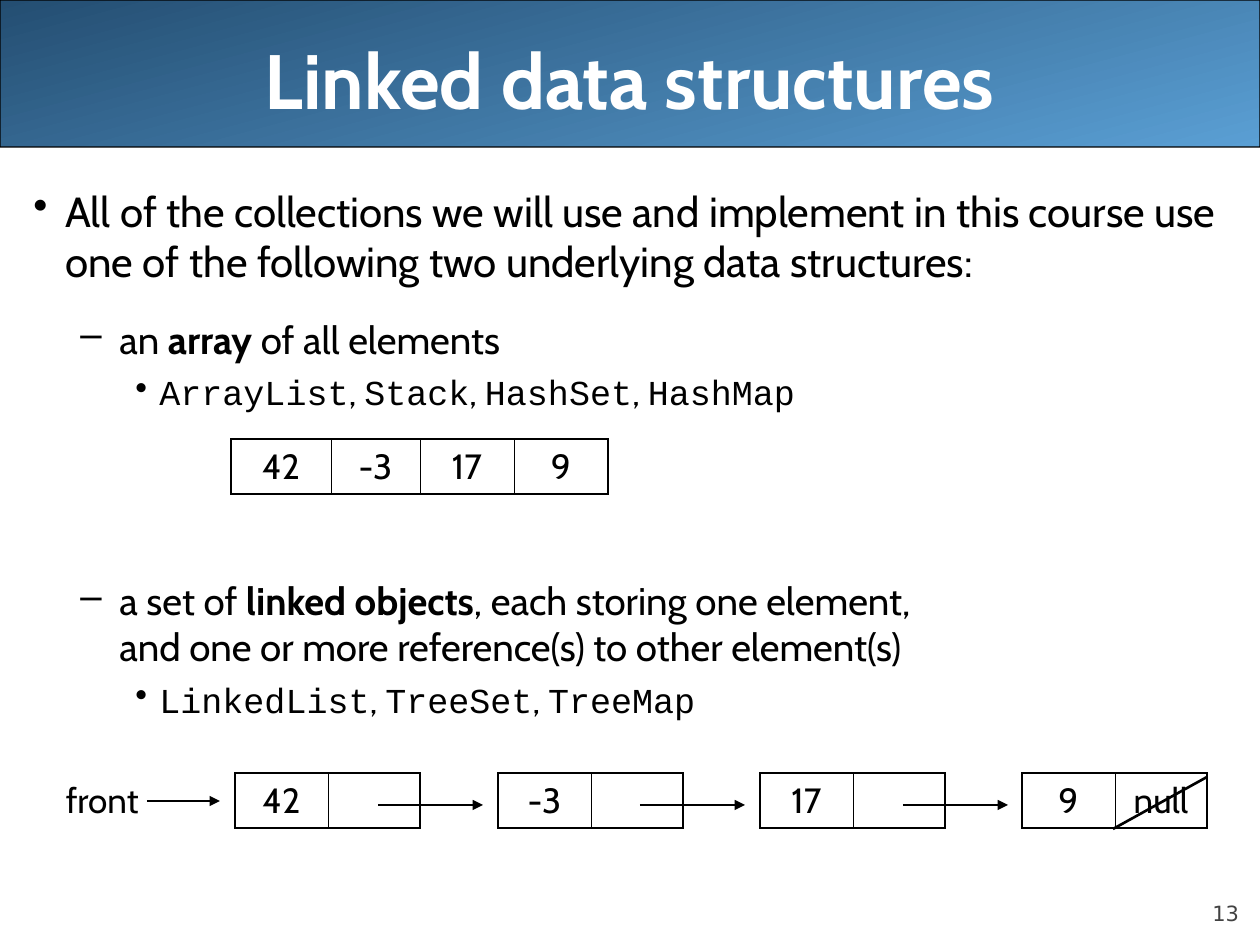
import lxml.etree
import pptx
import pptx.dml.color
import pptx.enum.shapes
import pptx.enum.text
import pptx.oxml.ns
import pptx.util

EMU_PER_PX = 914400 / 126
COLORS = {"black": "000000", "white": "FFFFFF", "gray": "424242",
          "dark_blue": "244E72", "light_blue": "5A9FD4"}
RGB = {name: pptx.dml.color.RGBColor.from_string(value) for name, value in COLORS.items()}
ALIGN = pptx.enum.text.PP_ALIGN
ANCHOR = pptx.enum.text.MSO_ANCHOR
qn = pptx.oxml.ns.qn

presentation = pptx.Presentation()
presentation.slide_width = round(1260 * EMU_PER_PX)
presentation.slide_height = round(945 * EMU_PER_PX)
slide = presentation.slides.add_slide(presentation.slide_layouts[6])


def add_label(text, box, size, color, align, anchor=ANCHOR.TOP, font="Cabin", wrap=True):
    """Add a one-line text box; box is left, top, width, height in px."""
    shape = slide.shapes.add_textbox(*(round(px * EMU_PER_PX) for px in box))
    frame = shape.text_frame
    frame.text = text
    frame.word_wrap = wrap
    frame.vertical_anchor = anchor
    paragraph = frame.paragraphs[0]
    paragraph.alignment = align
    paragraph.font.size = pptx.util.Pt(size)
    paragraph.font.name = font
    paragraph.font.color.rgb = RGB[color]
    return shape


def add_cells(values, left, top, widths):
    """Add a one-row table with thick outer and thin inner borders."""
    height = 55
    box = (left, top, sum(widths), height)
    table = slide.shapes.add_table(
        1, len(values), *(round(px * EMU_PER_PX) for px in box)).table
    table.first_row = False
    table.horz_banding = False
    for index, (value, width) in enumerate(zip(values, widths)):
        table.columns[index].width = round(width * EMU_PER_PX)
        cell = table.cell(0, index)
        cell.text = value
        cell.fill.background()
        paragraph = cell.text_frame.paragraphs[0]
        paragraph.alignment = ALIGN.CENTER
        paragraph.font.size = pptx.util.Pt(20)
        paragraph.font.name = "Cabin"
        paragraph.font.color.rgb = RGB["black"]
        thick, thin = 1.08, 0.45
        borders = {"lnL": thick if index == 0 else thin,
                   "lnR": thick if index == len(values) - 1 else thin,
                   "lnT": thick, "lnB": thick}
        properties = cell._tc.get_or_add_tcPr()
        for position, (tag, points) in enumerate(borders.items()):
            border = lxml.etree.Element(qn("a:" + tag), w=str(pptx.util.Pt(points)))
            fill = lxml.etree.SubElement(border, qn("a:solidFill"))
            lxml.etree.SubElement(fill, qn("a:srgbClr"), val=COLORS["black"])
            properties.insert(position, border)


# Title band
band = slide.shapes.add_shape(
    pptx.enum.shapes.MSO_SHAPE.ROUNDED_RECTANGLE, 0, 0,
    presentation.slide_width, round(147 * EMU_PER_PX))
band.adjustments[0] = 0.001
band.shadow.inherit = False
band.fill.gradient()
band.fill.gradient_angle = 285
for stop, position, color in zip(band.fill.gradient_stops, (0, 1), ("dark_blue", "light_blue")):
    stop.position = position
    stop.color.rgb = RGB[color]
band.line.color.rgb = RGB["black"]
band.line.width = pptx.util.Pt(0.75)

page_number = add_label("13", (1134, 876, 105, 50), 12, "gray", ALIGN.RIGHT,
                        ANCHOR.BOTTOM, "DejaVu Sans")
frame = page_number.text_frame
frame.margin_left = frame.margin_right = frame.margin_top = frame.margin_bottom = 0

title = add_label("Linked data structures", (63, 0, 1134, 158), 44, "white",
                  ALIGN.CENTER, ANCHOR.MIDDLE)
title.text_frame.paragraphs[0].font.bold = True

# Body: level, space before in points, and runs as (text, style)
BODY = [
    (0, 0, [("All of the collections we will use and implement in this course use "
             "one of the following two underlying data structures:", "plain")]),
    (1, 17, [("an ", "plain"), ("array", "bold"), (" of all elements", "plain")]),
    (2, 5, [("ArrayList", "code"), (", ", "plain"), ("Stack", "code"), (", ", "plain"),
            ("HashSet", "code"), (", ", "plain"), ("HashMap", "code")]),
    (1, 94, [("a set of ", "plain"), ("linked objects", "bold"),
             (", each storing one element,", "plain"), ("", "break"),
             ("and one or more reference(s) to other element(s)", "plain")]),
    (2, 5, [("LinkedList", "code"), (", ", "plain"), ("TreeSet", "code"), (", ", "plain"),
            ("TreeMap", "code")]),
]
# Per level: left margin px, hanging indent px, bullet, font size
LEVELS = [(32, 32, "•", 24), (86, 39, "–", 22), (126, 24, "•", 20)]

body = slide.shapes.add_textbox(
    *(round(px * EMU_PER_PX) for px in (21, 179, 1239, 714))).text_frame
body.word_wrap = True
for index, (level, space_before, runs) in enumerate(BODY):
    paragraph = body.paragraphs[0] if index == 0 else body.add_paragraph()
    margin, hanging, bullet, size = LEVELS[level]
    paragraph.level = level
    properties = paragraph._p.get_or_add_pPr()
    properties.set("marL", str(round(margin * EMU_PER_PX)))
    properties.set("indent", str(round(-hanging * EMU_PER_PX)))
    bullet_color = lxml.etree.SubElement(properties, qn("a:buClr"))
    lxml.etree.SubElement(bullet_color, qn("a:srgbClr"), val=COLORS["black"])
    lxml.etree.SubElement(properties, qn("a:buChar"), char=bullet)
    if space_before:
        paragraph.space_before = pptx.util.Pt(space_before)
    for text, style in runs:
        if style == "break":
            paragraph.add_line_break()
            continue
        run = paragraph.add_run()
        run.text = text
        run.font.size = pptx.util.Pt(size)
        run.font.name = "Courier New" if style == "code" else "Cabin"
        run.font.bold = style == "bold"
        run.font.color.rgb = RGB["black"]

# Array and linked nodes
add_cells(["42", "-3", "17", "9"], 231, 439, [100, 89, 94, 94])
add_label("front", (44, 772, 107, 55), 20, "black", ALIGN.RIGHT, wrap=False)

NODE_STEP = 525 / 2
for index, node in enumerate([("42", ""), ("-3", ""), ("17", ""), ("9", "null")]):
    add_cells(node, round(235 + index * NODE_STEP), 773, [93, 92])

# Lines as start x, start y, end x, end y, arrowhead
lines = []
for index in range(3):
    start = round(378 + index * NODE_STEP)
    lines.append((start, 805, start + 105, 805, True))
lines.append((1207, 777, 1113, 829, False))
lines.append((147, 801, 220, 801, True))
for *ends, has_arrowhead in lines:
    connector = slide.shapes.add_connector(
        pptx.enum.shapes.MSO_CONNECTOR.STRAIGHT, *(round(px * EMU_PER_PX) for px in ends))
    connector.line.color.rgb = RGB["black"]
    connector.line.width = pptx.util.Pt(1.5)
    properties = connector._element.spPr
    if has_arrowhead:
        lxml.etree.SubElement(properties.find(qn("a:ln")), qn("a:tailEnd"), type="triangle")
    lxml.etree.SubElement(properties, qn("a:effectLst"))

presentation.save("out.pptx")
